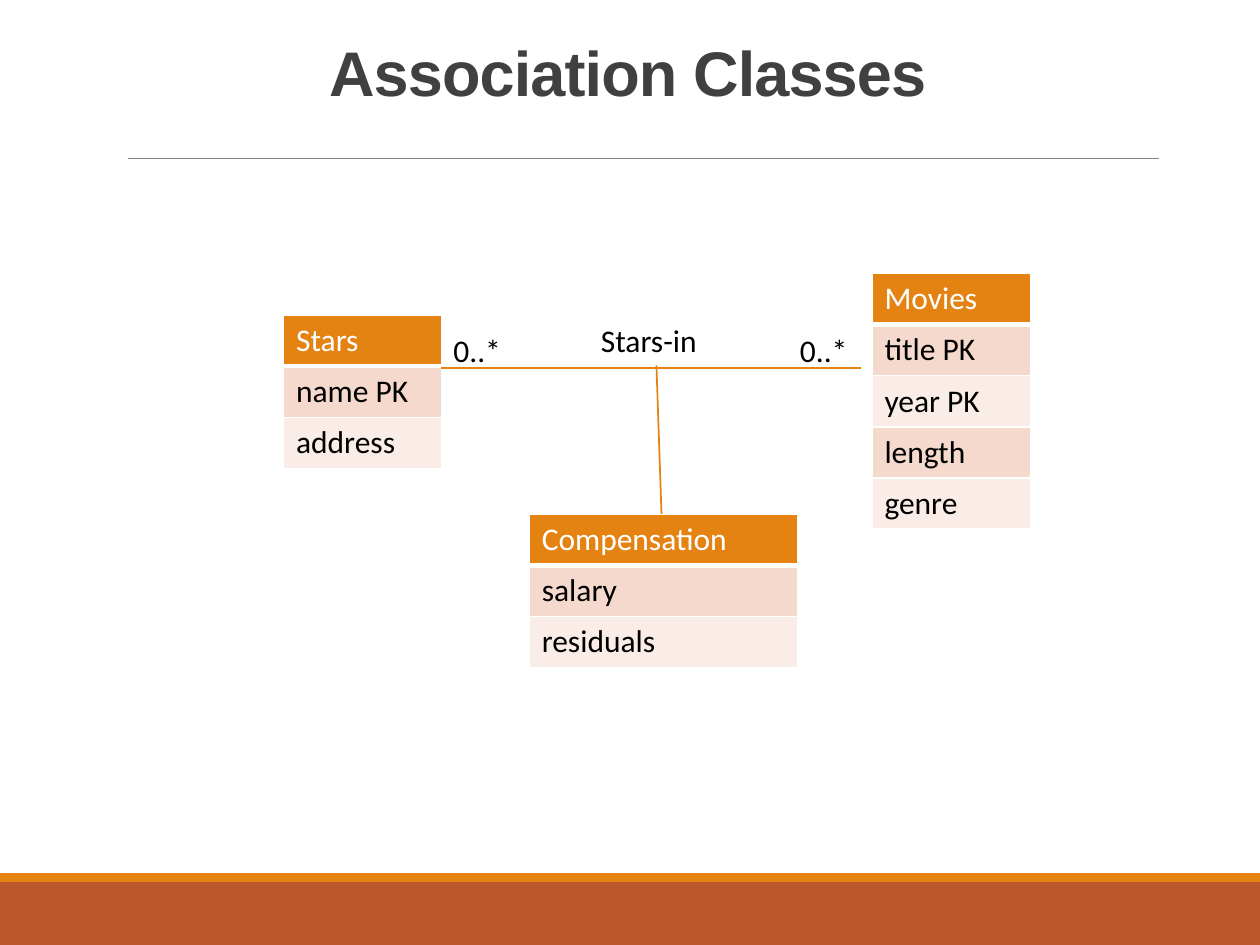
from dataclasses import dataclass

from lxml.etree import SubElement
from pptx import Presentation
from pptx.dml.color import RGBColor
from pptx.enum.shapes import MSO_CONNECTOR, MSO_SHAPE
from pptx.enum.text import MSO_ANCHOR, MSO_AUTO_SIZE, PP_ALIGN
from pptx.oxml.ns import qn
from pptx.util import Inches, Pt

COLUMNS, ROWS = 100, 75
ENTITY_ROW = 4.06


@dataclass(frozen=True)
class Theme:
    heading_font: str = "Arial"
    body_font: str = "Calibri"
    heading_size: float = 36
    body_size: float = 18
    accent: str = "E48312"
    footer: str = "BD582C"
    rule: str = "808080"
    heading: str = "404040"
    text: str = "000000"
    paper: str = "FFFFFF"
    bands: tuple = ("F5D9CC", "FAEDE7")


class DiagramSlide:
    """Places elements on a grid of COLUMNS by ROWS."""

    def __init__(self, presentation, theme):
        self.theme = theme
        self.slide = presentation.slides.add_slide(presentation.slide_layouts[6])
        self.column = presentation.slide_width / COLUMNS
        self.row = presentation.slide_height / ROWS

    def place(self, x, y, *more):
        """Turn alternating columns and rows into slide lengths."""
        steps = (self.column, self.row) * 2
        return [round(n * step) for n, step in zip((x, y, *more), steps)]

    def style(self, paragraph, font, size, color, bold=False):
        for run in paragraph.runs:
            run.font.name, run.font.size, run.font.bold = font, Pt(size), bold
            run.font.color.rgb = RGBColor.from_string(color)

    def body(self, paragraph, color):
        self.style(paragraph, self.theme.body_font, self.theme.body_size, color)

    def band(self, y, height, color):
        strip = self.slide.shapes.add_shape(
            MSO_SHAPE.RECTANGLE, *self.place(0, y, COLUMNS, height))
        strip.shadow.inherit = False
        strip.fill.solid()
        strip.fill.fore_color.rgb = RGBColor.from_string(color)
        strip.line.fill.background()

    def line(self, start, end, color, width):
        connector = self.slide.shapes.add_connector(
            MSO_CONNECTOR.STRAIGHT, *self.place(*start, *end))
        connector.line.color.rgb = RGBColor.from_string(color)
        connector.line.width = Pt(width)
        SubElement(connector._element.spPr, qn("a:effectLst"))

    def title(self, text, *area):
        frame = self.slide.shapes.add_textbox(*self.place(*area)).text_frame
        frame.word_wrap = True
        frame.vertical_anchor = MSO_ANCHOR.TOP
        frame.text = text
        heading = frame.paragraphs[0]
        heading.alignment = PP_ALIGN.CENTER
        heading.line_spacing = 0.85
        theme = self.theme
        self.style(heading, theme.heading_font, theme.heading_size, theme.heading, True)
        for run in heading.runs:
            run.font._element.set("spc", "-50")

    def label(self, text, *area):
        frame = self.slide.shapes.add_textbox(*self.place(*area)).text_frame
        frame.word_wrap = False
        frame.auto_size = MSO_AUTO_SIZE.SHAPE_TO_FIT_TEXT
        frame.text = text
        self.body(frame.paragraphs[0], self.theme.text)

    def borders(self, cell, bottom):
        properties = cell._tc.get_or_add_tcPr()
        for side, width in (("L", 1), ("R", 1), ("T", 1), ("B", bottom)):
            edge = SubElement(properties, qn(f"a:ln{side}"), w=str(Pt(width)))
            fill = SubElement(edge, qn("a:solidFill"))
            SubElement(fill, qn("a:srgbClr"), val=self.theme.paper)

    def entity(self, x, y, width, name, *attributes):
        """Draw a class as a header row above banded attribute rows."""
        texts = (name, *attributes)
        table = self.slide.shapes.add_table(
            len(texts), 1, *self.place(x, y, width, ENTITY_ROW * len(texts))).table
        for index, text in enumerate(texts):
            is_header = index == 0
            cell = table.cell(index, 0)
            self.borders(cell, 3 if is_header else 1)
            cell.fill.solid()
            cell.fill.fore_color.rgb = RGBColor.from_string(
                self.theme.accent if is_header else self.theme.bands[(index - 1) % 2])
            cell.text_frame.text = text
            self.body(cell.text_frame.paragraphs[0],
                      self.theme.paper if is_header else self.theme.text)


def main():
    presentation = Presentation()
    presentation.slide_width, presentation.slide_height = Inches(10), Inches(7.5)
    theme = Theme()
    diagram = DiagramSlide(presentation, theme)

    diagram.band(70, 5, theme.footer)
    diagram.band(69.3, 0.7, theme.accent)
    diagram.line((10.2, 12.6), (92, 12.6), theme.rule, 0.5)
    diagram.title("Association Classes", 6.4, 3.1, 86.8, 9.2)

    diagram.entity(22.5, 25, 12.6, "Stars", "name PK", "address")
    diagram.entity(69.2, 21.7, 12.6, "Movies", "title PK", "year PK", "length", "genre")
    diagram.entity(42, 40.8, 21.3, "Compensation", "salary", "residuals")

    diagram.line((35, 29.2), (68.3, 29.2), theme.accent, 1)
    for x in (35, 62.5):
        diagram.label("0..*", x, 25.8, 6.1, 4)
    diagram.label("Stars-in", 46.7, 25, 10.9, 4)
    diagram.line((52.1, 29), (52.5, 40.8), theme.accent, 1)

    presentation.save("out.pptx")


if __name__ == "__main__":
    main()
